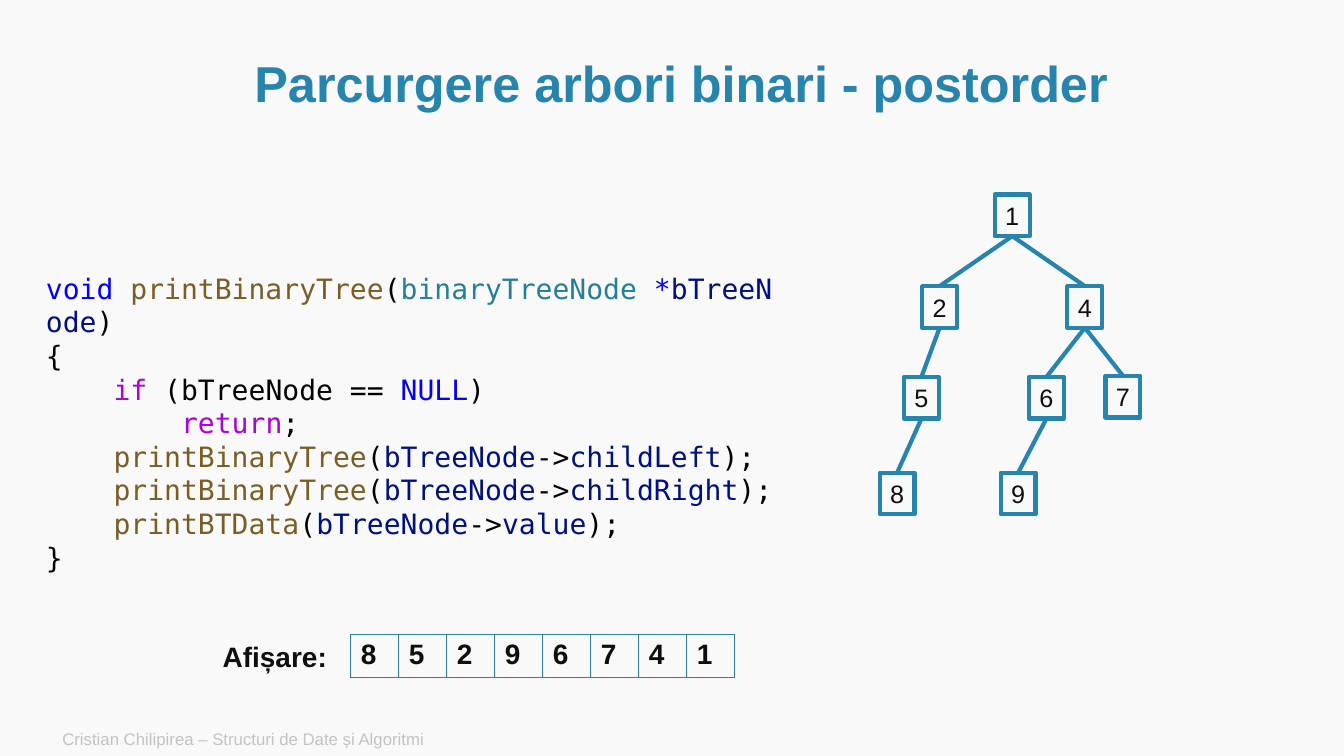
from lxml import etree
from pptx import Presentation
from pptx.dml.color import RGBColor
from pptx.enum.shapes import MSO_CONNECTOR, MSO_SHAPE
from pptx.enum.text import MSO_ANCHOR, MSO_AUTO_SIZE, PP_ALIGN
from pptx.oxml import parse_xml
from pptx.oxml.ns import nsdecls, qn
from pptx.util import Cm, Pt

BACKGROUND = RGBColor(0xF9, 0xF9, 0xF9)
TEAL = RGBColor(0x27, 0x85, 0xAD)
INK = RGBColor(0x0E, 0x0E, 0x0E)
GREY = RGBColor(0xC3, 0xC3, 0xC3)
BLACK = RGBColor(0x00, 0x00, 0x00)
BLUE = RGBColor(0x00, 0x00, 0xFF)
BROWN = RGBColor(0x79, 0x5E, 0x26)
TYPE_TEAL = RGBColor(0x26, 0x7F, 0x99)
NAVY = RGBColor(0x00, 0x10, 0x80)
PURPLE = RGBColor(0xAF, 0x00, 0xDB)
NO_BREAK_SPACE = chr(160)


def style_font(font, size, color, bold=False, name="Arial"):
    font.name = name
    font.size = Pt(size)
    font.bold = bold
    font.color.rgb = color


def add_label(slide, text, left, top, width, height):
    """Add a text box and return its text frame."""
    box = slide.shapes.add_textbox(Cm(left), Cm(top), Cm(width), Cm(height))
    box.text_frame.text = text
    box.text_frame.word_wrap = True
    return box.text_frame


presentation = Presentation()
presentation.slide_width = Cm(33.87)
presentation.slide_height = Cm(19.05)
slide = presentation.slides.add_slide(presentation.slide_layouts[5])
slide.background.fill.solid()
slide.background.fill.fore_color.rgb = BACKGROUND

# Title
title = slide.shapes.title
title.left, title.top, title.width, title.height = Cm(2.57), Cm(1.3), Cm(29.21), Cm(1.75)
title.text_frame.text = "Parcurgere arbori binari - postorder"
title.text_frame.vertical_anchor = MSO_ANCHOR.MIDDLE
title.text_frame.auto_size = MSO_AUTO_SIZE.NONE
paragraph = title.text_frame.paragraphs[0]
paragraph.alignment = PP_ALIGN.CENTER
paragraph.line_spacing = 0.9
style_font(paragraph.runs[0].font, 36, TEAL, bold=True)

# Code
code_lines = [
    [("void ", BLUE), ("printBinaryTree", BROWN), ("(", BLACK), ("binaryTreeNode ", TYPE_TEAL),
     ("*", BLUE), ("bTreeNode", NAVY), (")", BLACK)],
    [("{", BLACK)],
    [("    ", BLACK), ("if", PURPLE), (" (bTreeNode == ", BLACK), ("NULL", BLUE), (")", BLACK)],
    [("        ", BLACK), ("return", PURPLE), (";", BLACK)],
]
for function, member in [("printBinaryTree", "childLeft"), ("printBinaryTree", "childRight"),
                         ("printBTData", "value")]:
    code_lines.append([("    ", BLACK), (function, BROWN), ("(", BLACK), ("bTreeNode", NAVY),
                       ("->", BLACK), (member, NAVY), (");", BLACK)])
code_lines.append([("}", BLACK)])

code_frame = add_label(slide, "", 0.91, 6.71, 19.18, 7.09)
code_frame.auto_size = MSO_AUTO_SIZE.SHAPE_TO_FIT_TEXT
for index, code_line in enumerate(code_lines):
    paragraph = code_frame.add_paragraph() if index else code_frame.paragraphs[0]
    for text, color in code_line:
        run = paragraph.add_run()
        run.text = text.replace(" ", NO_BREAK_SPACE)
        style_font(run.font, 20, color, name="DejaVu Sans Mono")

# Output table
visit_order = "85296741"
CELL_WIDTH = 1.21
table = slide.shapes.add_table(1, len(visit_order), Cm(8.84), Cm(15.98),
                               Cm(CELL_WIDTH * len(visit_order)), Cm(1.1)).table
table.first_row = False
table.horz_banding = False
for column, value in enumerate(visit_order):
    table.columns[column].width = Cm(CELL_WIDTH)
    cell = table.cell(0, column)
    cell.text = value
    style_font(cell.text_frame.paragraphs[0].runs[0].font, 20, INK, bold=True)
    properties = cell._tc.get_or_add_tcPr()
    for side in ("lnL", "lnR", "lnT", "lnB"):
        properties.append(parse_xml(
            f'<a:{side} {nsdecls("a")} w="{Pt(1)}"><a:solidFill>'
            f'<a:srgbClr val="{TEAL}"/></a:solidFill></a:{side}>'))
    cell.fill.background()

output_frame = add_label(slide, "Afișare:", 5.36, 15.98, 3.18, 1.12)
output_frame.word_wrap = False
output_frame.auto_size = MSO_AUTO_SIZE.SHAPE_TO_FIT_TEXT
style_font(output_frame.paragraphs[0].runs[0].font, 20, INK, bold=True)

# Footer
footer_frame = add_label(slide, "Cristian Chilipirea – Structuri de Date și Algoritmi",
                         1.32, 18.19, 21.34, 0.86)
footer_frame.vertical_anchor = MSO_ANCHOR.MIDDLE
style_font(footer_frame.paragraphs[0].runs[0].font, 12, GREY)

# Binary tree
node_positions = {
    1: (25.07, 4.9),
    2: (23.24, 7.21), 4: (26.9, 7.21),
    5: (22.78, 9.5), 6: (25.93, 9.5), 7: (27.86, 9.47),
    8: (22.17, 11.91), 9: (25.22, 11.91),
}
nodes = {}
for number, (left, top) in node_positions.items():
    node = slide.shapes.add_shape(MSO_SHAPE.RECTANGLE, Cm(left), Cm(top), Cm(0.88), Cm(1.05))
    node.shadow.inherit = False
    node.fill.background()
    node.line.color.rgb = TEAL
    node.line.width = Pt(3)
    node.text_frame.text = str(number)
    node.text_frame.word_wrap = False
    node.text_frame.vertical_anchor = MSO_ANCHOR.MIDDLE
    paragraph = node.text_frame.paragraphs[0]
    paragraph.alignment = PP_ALIGN.CENTER
    style_font(paragraph.runs[0].font, 18, INK)
    nodes[number] = node

for parent, child in [(1, 2), (1, 4), (2, 5), (4, 6), (4, 7), (5, 8), (6, 9)]:
    edge = slide.shapes.add_connector(MSO_CONNECTOR.STRAIGHT, 0, 0, 0, 0)
    edge.begin_connect(nodes[parent], 2)
    edge.end_connect(nodes[child], 0)
    edge.line.color.rgb = TEAL
    edge.line.width = Pt(3)
    etree.SubElement(edge._element.spPr, qn("a:effectLst"))

presentation.save("out.pptx")
